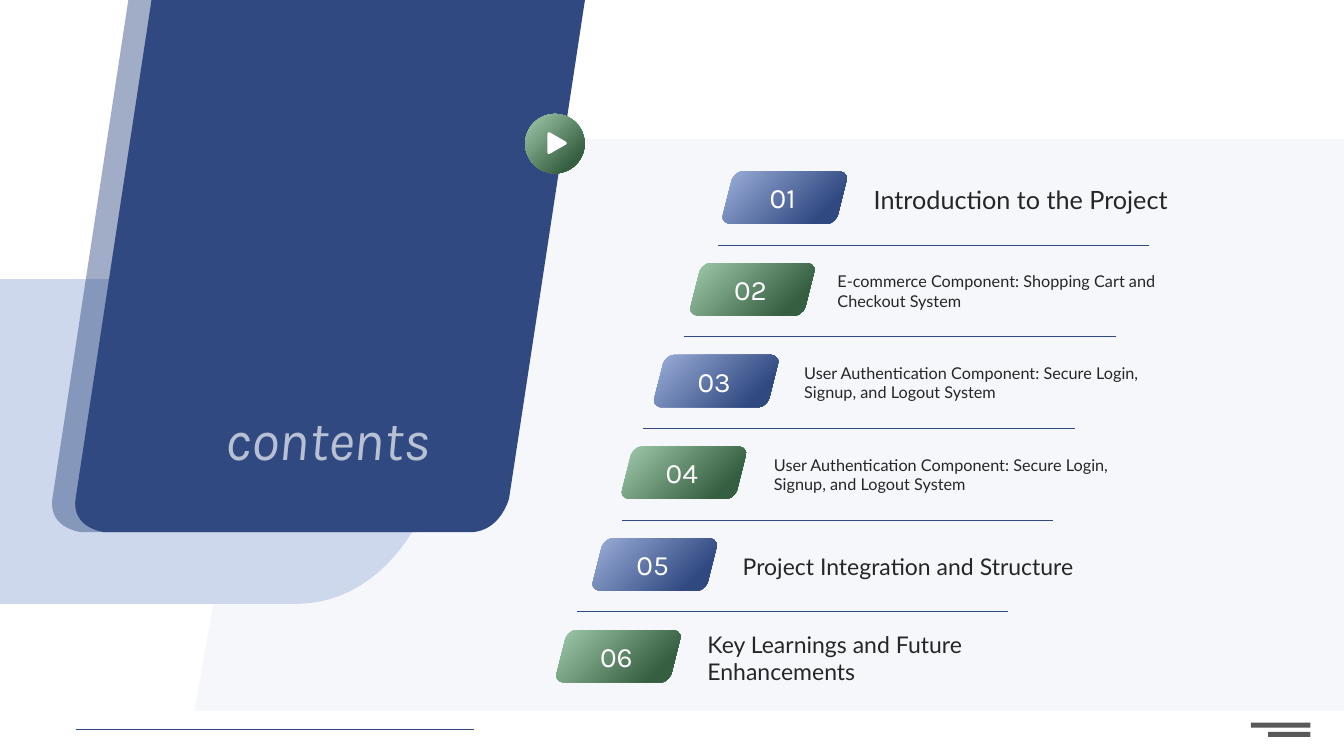
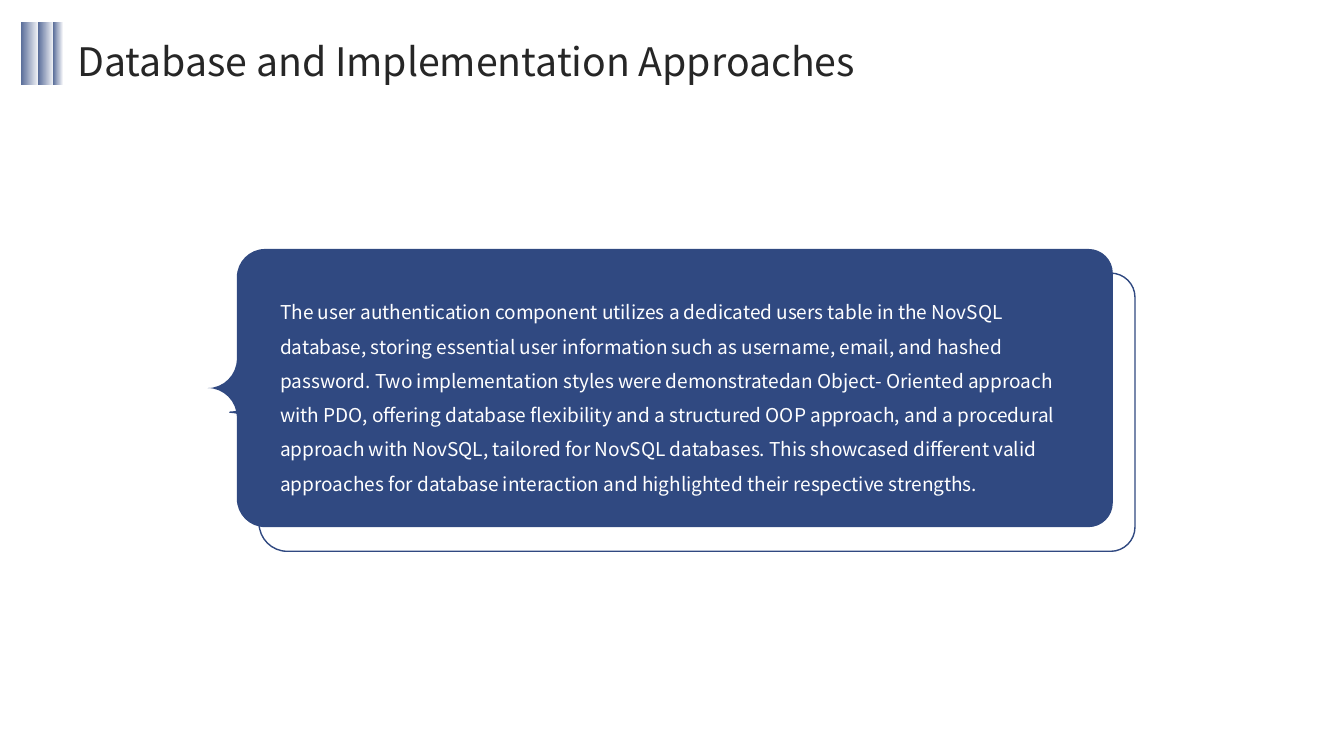
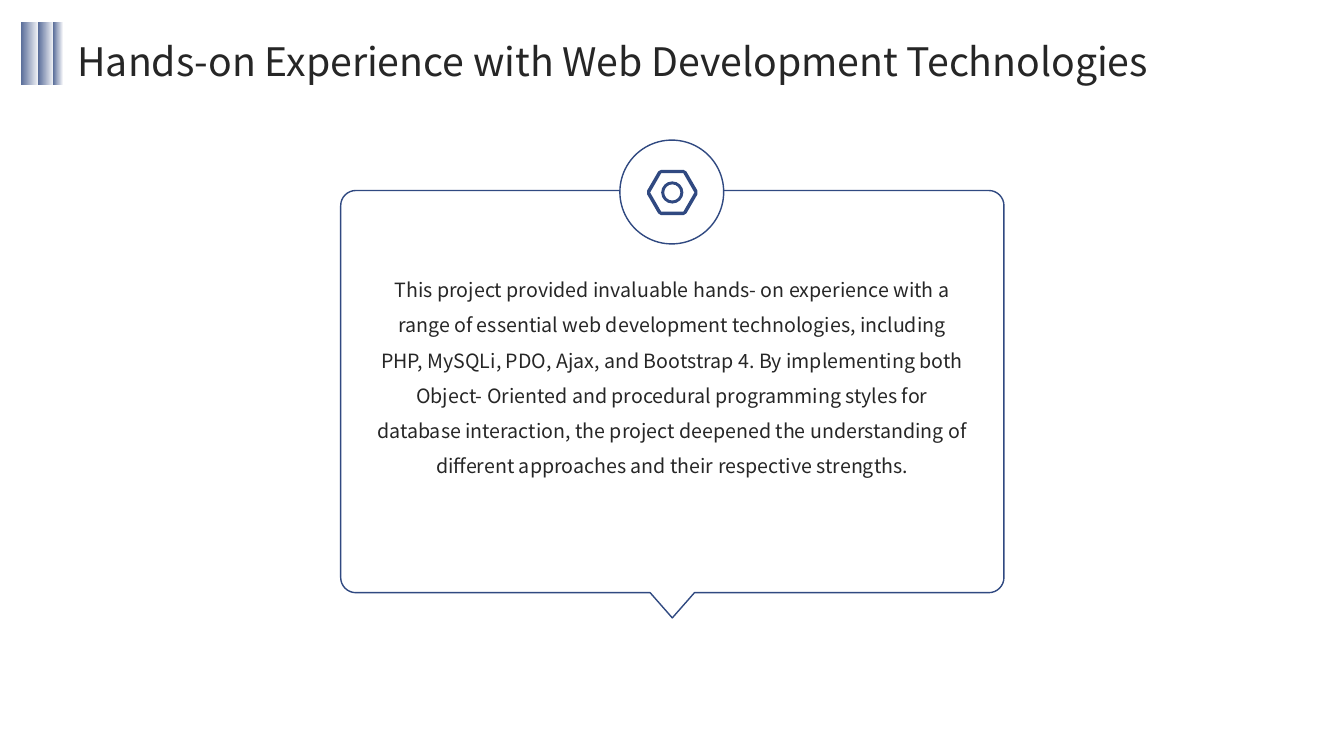
import math

import pptx
import pptx.dml.color
import pptx.enum.shapes
import pptx.enum.text
import pptx.oxml.ns
import pptx.util
from lxml import etree

PX = 9144  # EMU in one px, 100 px to the inch
PAGE_WIDTH, PAGE_HEIGHT = 1333.33, 750
SHAPE = pptx.enum.shapes.MSO_SHAPE
ALIGN = pptx.enum.text.PP_ALIGN
ANCHOR = pptx.enum.text.MSO_ANCHOR

NAVY = "304981"
PALE = "CED8ED"
INK = "262626"
GREY = "595959"
WHITE = "FFFFFF"
# Gradient stops: position in percent, colour, opacity in percent
BLUE_SHEEN = [(0, "9EB1DB", 100), (81, NAVY, 100)]
GREEN_SHEEN = [(0, "A3CBAE", 100), (81, "365F41", 100)]
BAR_FADE = [(0, NAVY, 80), (100, NAVY, 0)]

DISPLAY_FONT = "Karla"
LIST_FONT = "Lato"
BODY_FONT = "Noto Sans CJK SC"

# Distances of a corner's two curve handles from its vertex, as shares of the radius
EVEN = (0.45, 0.45)
SWEPT = (1, 0.1)

# Number, title, title size, left of badge, left of title, left of the rule below
CONTENTS = [
    ("01", "Introduction to the Project", 18, 715, 857, 712),
    ("02", "E-commerce Component: Shopping Cart and Checkout System",
     11.6, 683, 821, 679),
    ("03", "User Authentication Component: Secure Login, Signup, and Logout System",
     11.6, 647, 788, 638),
    ("04", "User Authentication Component: Secure Login, Signup, and Logout System",
     11.6, 615, 758, 617),
    ("05", "Project Integration and Structure", 16.4, 586, 727, 572),
    ("06", "Key Learnings and Future Enhancements", 16.4, 550, 692, None),
]
ROW_TOP, ROW_PITCH = 170, 91

DATABASE_TEXT = (
    "The user authentication component utilizes a dedicated users table in the NovSQL "
    "database, storing essential user information such as username, email, and hashed "
    "password. Two implementation styles were demonstratedan Object- Oriented approach "
    "with PDO, offering database flexibility and a structured OOP approach, and a "
    "procedural approach with NovSQL, tailored for NovSQL databases. This showcased "
    "different valid approaches for database interaction and highlighted their "
    "respective strengths."
)
EXPERIENCE_TEXT = (
    "This project provided invaluable hands- on experience with a range of essential "
    "web development technologies, including PHP, MySQLi, PDO, Ajax, and Bootstrap 4. "
    "By implementing both Object- Oriented and procedural programming styles for "
    "database interaction, the project deepened the understanding of different "
    "approaches and their respective strengths."
)


def px(length):
    return pptx.util.Emu(round(length * PX))


def rgb(color):
    return pptx.dml.color.RGBColor.from_string(color)


def set_opacity(element, percents):
    """Give the RGB colours inside element their opacity, in document order."""
    colors = list(element.iter(pptx.oxml.ns.qn("a:srgbClr")))
    for color, percent in zip(colors, percents):
        if percent < 100:
            etree.SubElement(color, pptx.oxml.ns.qn("a:alpha"), val=str(percent * 1000))


def paint(shape, fill=None, line=None, opacity=100, angle=45):
    """Fill with a colour, a list of gradient stops, or nothing; outline at 1 pt."""
    shape.shadow.inherit = False
    if fill is None:
        shape.fill.background()
    elif isinstance(fill, str):
        shape.fill.solid()
        shape.fill.fore_color.rgb = rgb(fill)
        set_opacity(shape.element.spPr, [opacity])
    else:
        shape.fill.gradient()
        shape.fill.gradient_angle = (360 - angle) % 360
        for stop, (position, color, _) in zip(shape.fill.gradient_stops, fill):
            stop.position = position / 100
            stop.color.rgb = rgb(color)
        set_opacity(shape.element.spPr, [percent for _, _, percent in fill])
    if line:
        shape.line.color.rgb = rgb(line)
        shape.line.width = pptx.util.Pt(1)
    else:
        shape.line.fill.background()


def add_preset(slide, kind, left, top, width, height, **style):
    shape = slide.shapes.add_shape(kind, px(left), px(top), px(width), px(height))
    paint(shape, **style)


def toward(start, target, distance):
    """Point at the given distance from start on the way to target."""
    share = distance / math.dist(start[:2], target[:2])
    return tuple(a + (b - a) * share for a, b in zip(start[:2], target[:2]))


def rounded(vertices, handles):
    """Segments through (x, y, radius) vertices: one point for a line, three for a curve."""
    segments = []
    for index, vertex in enumerate(vertices):
        radius = vertex[2]
        before, after = vertices[index - 1], vertices[(index + 1) % len(vertices)]
        start = toward(vertex, before, radius)
        if not segments or math.dist(segments[-1][-1], start) > 0.01:
            segments.append((start,))
        if radius:
            segments.append((toward(vertex, before, radius * handles[0]),
                             toward(vertex, after, radius * handles[1]),
                             toward(vertex, after, radius)))
    return segments


def bend(shape, contours):
    """Turn the straight runs that stand for curves into cubic curves."""
    nodes = shape.element.iter(pptx.oxml.ns.qn("a:lnTo"))
    nodes = iter(list(nodes))
    for contour in contours:
        for segment in contour[1:]:
            run = [next(nodes) for _ in segment]
            if len(run) == 3:
                curve = etree.Element(pptx.oxml.ns.qn("a:cubicBezTo"))
                run[0].addprevious(curve)
                for node in run:
                    curve.append(node[0])
                    node.getparent().remove(node)


def add_outline(slide, *outlines, handles=EVEN, **style):
    """One freeform made of closed outlines of vertices; inner ones cut holes."""
    contours = [rounded(vertices, handles) for vertices in outlines]
    builder = None
    for contour in contours:
        points = [(x * PX, y * PX) for segment in contour for x, y in segment]
        if builder is None:
            builder = slide.shapes.build_freeform(*points[0], scale=1.0)
        else:
            builder.move_to(*points[0])
        builder.add_line_segments(points[1:], close=True)
    shape = builder.convert_to_shape()
    bend(shape, contours)
    paint(shape, **style)


def rectangle(left, top, width, height, radius=0):
    right, bottom = left + width, top + height
    return [(left, top, radius), (right, top, radius),
            (right, bottom, radius), (left, bottom, radius)]


def circle(center_x, center_y, radius):
    return rectangle(center_x - radius, center_y - radius, 2 * radius, 2 * radius, radius)


def hexagon(center_x, center_y, size, radius=0):
    angles = [math.radians(60 * side) for side in range(6)]
    return [(center_x + size * math.cos(a), center_y + size * math.sin(a), radius)
            for a in angles]


def add_leaning_panel(slide, left, top, width, height, lean, radius, **style):
    """Rounded parallelogram; left is its bottom left vertex."""
    bottom = top + height
    corners = [(left + lean, top, radius), (left + lean + width, top, radius),
               (left + width, bottom, radius), (left, bottom, radius)]
    add_outline(slide, corners, handles=SWEPT, **style)


def add_rule(slide, left, y, width):
    rule = slide.shapes.add_connector(
        pptx.enum.shapes.MSO_CONNECTOR.STRAIGHT, px(left), px(y), px(left + width), px(y))
    rule.line.color.rgb = rgb(NAVY)
    rule.line.width = pptx.util.Pt(0.5)
    etree.SubElement(rule.element.spPr, pptx.oxml.ns.qn("a:effectLst"))


def add_text(slide, text, left, top, width, height, size, font, color=INK,
             align=ALIGN.LEFT, anchor=ANCHOR.MIDDLE, spacing=1.0, inset=True,
             italic=False, opacity=100):
    box = slide.shapes.add_textbox(px(left), px(top), px(width), px(height))
    frame = box.text_frame
    frame.word_wrap = True
    frame.vertical_anchor = anchor
    if not inset:
        frame.margin_left = frame.margin_right = 0
        frame.margin_top = frame.margin_bottom = 0
    para = frame.paragraphs[0]
    para.alignment = align
    para.line_spacing = spacing
    span = para.add_run()
    span.text = text
    span.font.name = font
    span.font.size = pptx.util.Pt(size)
    span.font.italic = italic
    span.font.color.rgb = rgb(color)
    set_opacity(box.element, [opacity])


def add_page(deck, title=None):
    """Blank page; a title comes with the three fading bars beside it."""
    page = deck.slides.add_slide(deck.slide_layouts[6])
    if title:
        add_text(page, title, 67, 25, 1188, 56, 28, BODY_FONT, spacing=1.3)
        left = 21
        for width in (17, 15, 9):
            add_preset(page, SHAPE.RECTANGLE, left, 22, width, 62, fill=BAR_FADE, angle=0)
            left += width
    return page


def add_contents_row(page, index, number, title, size, badge_left, title_left, rule_left):
    top = ROW_TOP + index * ROW_PITCH
    sheen = GREEN_SHEEN if index % 2 else BLUE_SHEEN
    add_leaning_panel(page, badge_left, top, 114, 52, 13, 9, fill=sheen)
    add_text(page, number, badge_left + 16, top + 1, 91, 50, 20, DISPLAY_FONT, WHITE,
             ALIGN.CENTER)
    add_text(page, title, title_left, top, 394, 55, size, LIST_FONT)
    if rule_left is not None:
        add_rule(page, rule_left, top + 73, 428)


def build_contents(deck):
    page = add_page(deck)
    add_preset(page, SHAPE.RECTANGLE, 0, 0, PAGE_WIDTH, PAGE_HEIGHT, fill=WHITE)
    add_outline(page, [(-432, 277, 0), (480, 277, 0), (399, 599, 106), (-432, 599, 0)],
                handles=SWEPT, fill=PALE)
    add_rule(page, 75, 724, 395)
    add_outline(page, [(293, 138, 104), (PAGE_WIDTH, 138, 0), (PAGE_WIDTH, 705, 0),
                       (193, 705, 0)], handles=SWEPT, fill=PALE, opacity=20)
    add_leaning_panel(page, 47, -83, 397, 611, 93, 34, fill=NAVY, opacity=45)
    add_leaning_panel(page, 70, -83, 430, 611, 93, 34, fill=NAVY)
    add_text(page, "contents", 149, 401, 352, 67, 40, DISPLAY_FONT, WHITE, ALIGN.CENTER,
             inset=False, italic=True, opacity=65)
    add_preset(page, SHAPE.OVAL, 521, 113, 59, 59, fill=GREEN_SHEEN)
    add_outline(page, [(543, 130, 3), (564, 142, 3), (543, 154, 3)], fill=WHITE)
    for index, row in enumerate(CONTENTS):
        add_contents_row(page, index, *row)
    add_outline(page, rectangle(1241, 717, 59, 5), rectangle(1258, 726, 42, 5), fill=GREY)


def speech_panel(left, top):
    """Rounded panel with a curved tail on its left side."""
    right, bottom, middle = left + 869, top + 276, top + 138
    return [(left, top, 28), (right, top, 24), (right, bottom, 24), (left, bottom, 28),
            (left, middle, 29), (left - 29, middle, 0), (left, middle, 29)]


def build_database(deck):
    page = add_page(deck, "Database and Implementation Approaches")
    add_outline(page, speech_panel(257, 271), line=NAVY)
    add_outline(page, speech_panel(235, 247), fill=NAVY)
    add_text(page, DATABASE_TEXT, 278, 287, 780, 198, 13.6, BODY_FONT, WHITE,
             anchor=ANCHOR.TOP, spacing=1.5, inset=False)


def build_experience(deck):
    page = add_page(deck, "Hands-on Experience with Web Development Technologies")
    center = 667
    add_outline(page, [(338, 189, 15), (996, 189, 15), (996, 588, 15),
                       (center + 22, 588, 0), (center, 613, 0), (center - 22, 588, 0),
                       (338, 588, 15)], fill=WHITE, line=NAVY)
    add_preset(page, SHAPE.FLOWCHART_CONNECTOR, 615, 139, 103, 103, fill=WHITE, line=NAVY)
    add_text(page, EXPERIENCE_TEXT, 374, 264, 586, 272, 14, BODY_FONT, align=ALIGN.CENTER,
             anchor=ANCHOR.TOP, spacing=1.5, inset=False)
    add_outline(page, circle(center, 191, 8), circle(center, 191, 11),
                hexagon(center, 191, 22), hexagon(center, 191, 26, 2), fill=NAVY)


def main():
    deck = pptx.Presentation()
    deck.slide_width, deck.slide_height = px(PAGE_WIDTH), px(PAGE_HEIGHT)
    build_contents(deck)
    build_database(deck)
    build_experience(deck)
    deck.save("out.pptx")


if __name__ == "__main__":
    main()
